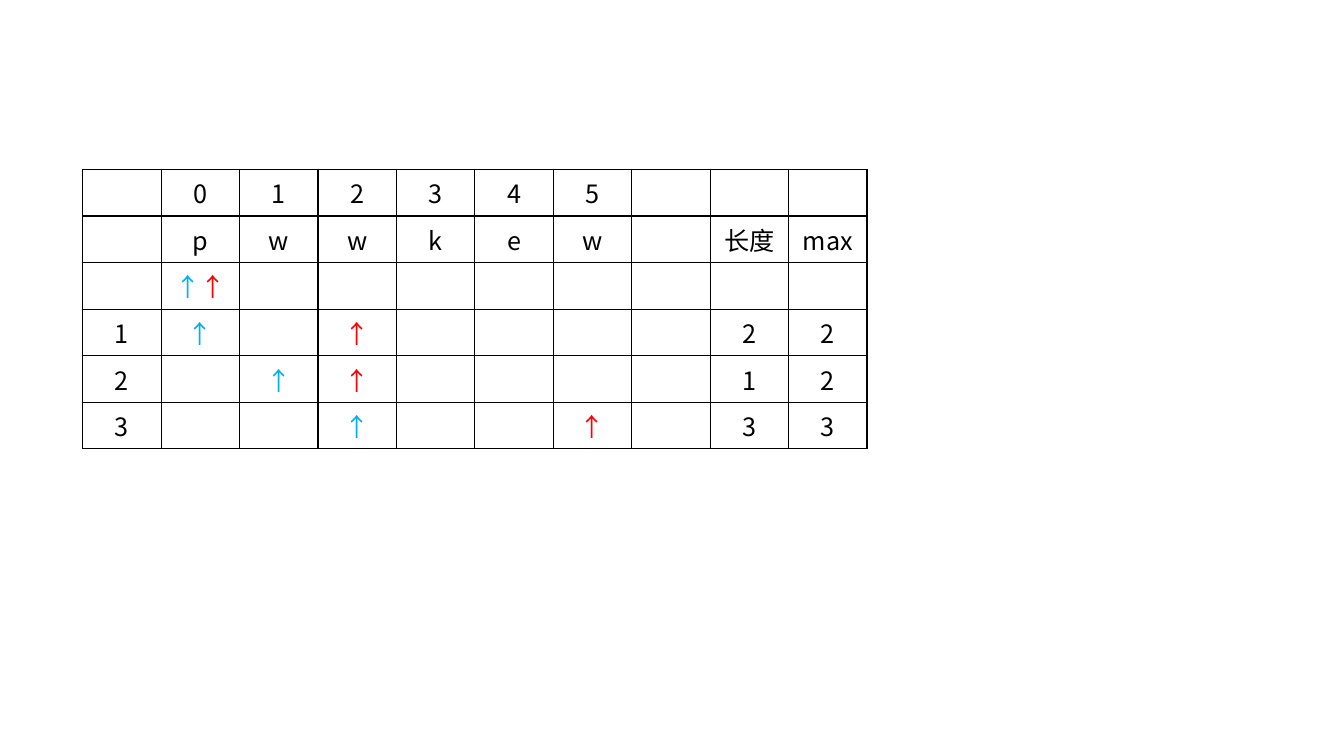
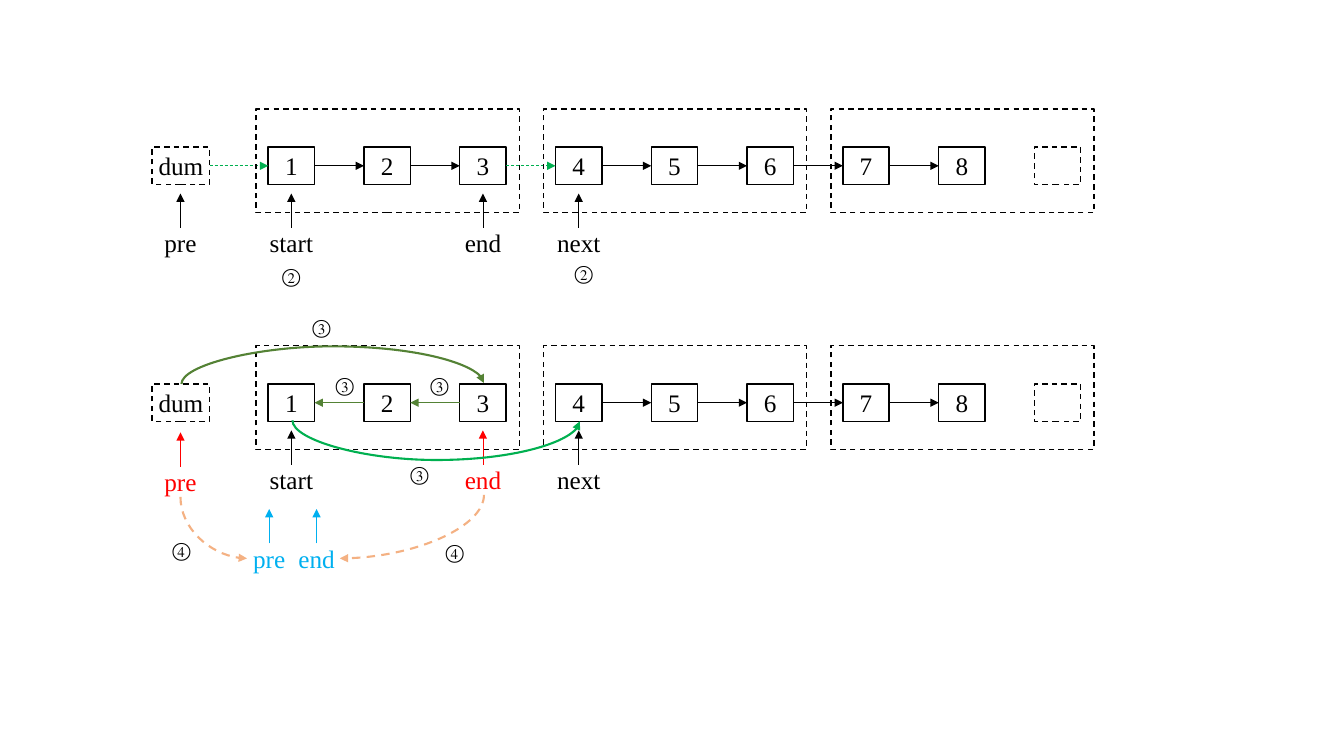
from dataclasses import dataclass

from lxml.etree import SubElement
from pptx import Presentation
from pptx.dml.color import RGBColor
from pptx.enum.dml import MSO_LINE
from pptx.enum.shapes import MSO_CONNECTOR as Wire, MSO_SHAPE
from pptx.enum.text import MSO_ANCHOR as Anchor, PP_ALIGN
from pptx.oxml.ns import qn
from pptx.util import Emu, Pt

EMU_PER_PX = 9144


@dataclass(frozen=True)
class Theme:
    black: str = "000000"
    white: str = "FFFFFF"
    red: str = "FF0000"
    blue: str = "00B0F0"
    green: str = "00B050"
    olive: str = "548235"
    peach: str = "F4B183"
    table_font: str = "Noto Sans CJK SC"
    list_font: str = "Times New Roman"
    body: int = 18
    step: int = 14
    thin: float = 0.5
    outline: float = 1
    bold: float = 1.5


THEME = Theme()


@dataclass(frozen=True)
class Box:
    left: int
    top: int
    width: int
    height: int

    def emu(self) -> list[Emu]:
        return [px(n) for n in (self.left, self.top, self.width, self.height)]


@dataclass(frozen=True)
class Link:
    source: int
    target: int
    color: str = THEME.black
    dashed: bool = False


@dataclass(frozen=True)
class Pointer:
    word: str
    center: int
    top: int
    color: str = THEME.black
    width: int = 88


@dataclass(frozen=True)
class Curve:
    start: tuple[int, int]
    end: tuple[int, int]
    color: str
    rotation: int
    flips: str = ""
    bulge: int = 0
    dashed: bool = False


@dataclass(frozen=True)
class Step:
    mark: str
    left: int
    top: int


def px(count: float) -> Emu:
    return Emu(round(count * EMU_PER_PX))


def add_run(paragraph, text: str, font_name: str, size: int, color: str) -> None:
    paragraph.alignment = PP_ALIGN.CENTER
    run = paragraph.add_run()
    run.text = text
    run.font.name = font_name
    run.font.size = Pt(size)
    run.font.color.rgb = RGBColor.from_string(color)
    SubElement(run.font._element, qn("a:ea"), typeface=font_name)


def style_line(line, color: str, width: float, dashed: bool) -> None:
    line.color.rgb = RGBColor.from_string(color)
    line.width = Pt(width)
    if dashed:
        line.dash_style = MSO_LINE.DASH


def finish_arrow(arrow, color: str, width: float, dashed: bool = False) -> None:
    style_line(arrow.line, color, width, dashed)
    properties = arrow._element.spPr
    SubElement(properties.find(qn("a:ln")), qn("a:tailEnd"), type="triangle")
    SubElement(properties, qn("a:effectLst"))


def draw_rectangle(slide, box: Box, text: str = "", dashed: bool = False, filled: bool = True):
    rectangle = slide.shapes.add_shape(MSO_SHAPE.RECTANGLE, *box.emu())
    rectangle.shadow.inherit = False
    if filled:
        rectangle.fill.solid()
        rectangle.fill.fore_color.rgb = RGBColor.from_string(THEME.white)
    else:
        rectangle.fill.background()
    style_line(rectangle.line, THEME.black, THEME.outline, dashed)
    if text:
        frame = rectangle.text_frame
        frame.margin_left = frame.margin_right = 0
        frame.vertical_anchor = Anchor.MIDDLE
        add_run(frame.paragraphs[0], text, THEME.list_font, THEME.body, THEME.black)
    return rectangle


def draw_label(slide, box: Box, text: str, size: int, color: str, inset: tuple[int, int]):
    label = slide.shapes.add_textbox(*box.emu())
    frame = label.text_frame
    frame.word_wrap = True
    frame.margin_left = frame.margin_right = px(inset[0])
    frame.margin_top = frame.margin_bottom = px(inset[1])
    add_run(frame.paragraphs[0], text, THEME.list_font, size, color)
    return label


def draw_pointer(slide, pointer: Pointer) -> None:
    box = Box(pointer.center - pointer.width // 2, pointer.top, pointer.width, 30)
    label = draw_label(slide, box, pointer.word, THEME.body, pointer.color, (0, 0))
    center = px(pointer.center)
    arrow = slide.shapes.add_connector(
        Wire.STRAIGHT, center, px(pointer.top), center, px(pointer.top - 34))
    arrow.begin_connect(label, 0)
    finish_arrow(arrow, pointer.color, THEME.thin)


def draw_link(slide, stops: list, link: Link) -> None:
    forward = link.source < link.target
    arrow = slide.shapes.add_connector(Wire.STRAIGHT, 0, 0, 0, 0)
    arrow.begin_connect(stops[link.source], 3 if forward else 1)
    arrow.end_connect(stops[link.target], 1 if forward else 3)
    finish_arrow(arrow, link.color, THEME.thin, link.dashed)


def draw_curve(slide, curve: Curve) -> None:
    (x1, y1), (x2, y2) = curve.start, curve.end
    width, height = abs(y2 - y1), abs(x2 - x1)
    left, top = (x1 + x2 - width) / 2, (y1 + y2 - height) / 2
    arrow = slide.shapes.add_connector(
        Wire.CURVE, px(left), px(top), px(left + width), px(top + height))
    properties = arrow._element.spPr
    transform = properties.find(qn("a:xfrm"))
    transform.set("rot", str(curve.rotation * 60000))
    for axis in curve.flips:
        transform.set(f"flip{axis}", "1")
    geometry = properties.find(qn("a:prstGeom"))
    if curve.bulge:
        SubElement(geometry.find(qn("a:avLst")), qn("a:gd"), name="adj1",
                   fmla=f"val {curve.bulge * 100000 // width}")
    else:
        geometry.set("prst", "curvedConnector2")
    finish_arrow(arrow, curve.color, THEME.bold, curve.dashed)


def draw_list(slide, top: int, links: list[Link]) -> None:
    stops = [draw_rectangle(slide, Box(151, top, 57, 37), "dum", dashed=True)]
    for index in range(8):
        stops.append(draw_rectangle(slide, Box(node_left(index), top, 46, 37), str(index + 1)))
    draw_rectangle(slide, Box(node_left(8), top, 46, 37), dashed=True)
    for link in links:
        draw_link(slide, stops, link)
    for index in range(3):
        draw_rectangle(slide, Box(254 + 285 * index, top - 38, 261, 103),
                       dashed=True, filled=False)


def node_left(index: int) -> int:
    return 266 + 95 * index


def node_center(index: int) -> int:
    return node_left(index) + 23


def border_cell(cell) -> None:
    cell.fill.background()
    properties = cell._tc.get_or_add_tcPr()
    for position, side in enumerate(("lnL", "lnR", "lnT", "lnB")):
        border = SubElement(properties, qn(f"a:{side}"), w=str(Pt(THEME.outline)))
        fill = SubElement(border, qn("a:solidFill"))
        SubElement(fill, qn("a:srgbClr"), val=THEME.black)
        properties.insert(position, border)


def build_window_slide(slide) -> None:
    slow, fast = ("↑", THEME.blue), ("↑", THEME.red)
    rows = [
        dict(enumerate("012345", 1)),
        {**dict(enumerate("pwwkew", 1)), 8: "长度", 9: "max"},
        {1: [slow, fast]},
        {0: "1", 1: [slow], 3: [fast], 8: "2", 9: "2"},
        {0: "2", 2: [slow], 3: [fast], 8: "1", 9: "2"},
        {0: "3", 3: [slow], 6: [fast], 8: "3", 9: "3"},
    ]
    box = Box(82, 168, 778, 276)
    table = slide.shapes.add_table(len(rows), 10, *box.emu()).table
    table.first_row = table.horz_banding = False
    for column in table.columns:
        column.width = px(box.width / 10)
    for row, entries in zip(table.rows, rows):
        row.height = px(box.height / len(rows))
        for index, cell in enumerate(row.cells):
            border_cell(cell)
            cell.vertical_anchor = Anchor.MIDDLE
            entry = entries.get(index, [])
            runs = [(entry, THEME.black)] if isinstance(entry, str) else entry
            for text, color in runs:
                add_run(cell.text_frame.paragraphs[0], text,
                        THEME.table_font, THEME.body, color)


def build_reverse_slide(slide) -> None:
    tail = [Link(n, n + 1) for n in range(4, 8)]
    draw_list(slide, 146, [
        Link(0, 1, THEME.green, True), Link(1, 2), Link(2, 3),
        Link(3, 4, THEME.green, True), *tail])
    draw_list(slide, 381, [Link(2, 1, THEME.olive), Link(3, 2, THEME.olive), *tail])

    start, end, following = (node_center(n) for n in (0, 2, 3))
    pointers = [
        Pointer("pre", 179, 226),
        Pointer("start", start, 226),
        Pointer("end", end, 226),
        Pointer("next", following, 226),
        Pointer("pre", 179, 463, THEME.red),
        Pointer("start", start, 461),
        Pointer("end", end, 461, THEME.red),
        Pointer("next", following, 461),
        Pointer("pre", 267, 539, THEME.blue, 44),
        Pointer("end", 314, 539, THEME.blue, 44),
    ]
    for pointer in pointers:
        draw_pointer(slide, pointer)

    curves = [
        Curve((180, 381), (480, 380), THEME.olive, 90, "HV", bulge=38),
        Curve((290, 417), (575, 418), THEME.green, 270, "H", bulge=40),
        Curve((179, 493), (245, 554), THEME.peach, 270, "H", dashed=True),
        Curve((480, 491), (337, 554), THEME.peach, 90, dashed=True),
    ]
    for curve in curves:
        draw_curve(slide, curve)

    steps = [
        Step("④", 424, 531), Step("④", 153, 529),
        Step("③", 389, 453), Step("③", 292, 308),
        Step("③", 315, 365), Step("③", 409, 365),
        Step("②", 262, 257), Step("②", 552, 254),
    ]
    for step in steps:
        draw_label(slide, Box(step.left, step.top, 54, 34), step.mark,
                   THEME.step, THEME.black, (10, 5))


def main() -> None:
    deck = Presentation()
    deck.slide_width, deck.slide_height = px(1333), px(750)
    blank = deck.slide_layouts[6]
    for build in (build_window_slide, build_reverse_slide):
        build(deck.slides.add_slide(blank))
    deck.save("out.pptx")


if __name__ == "__main__":
    main()
